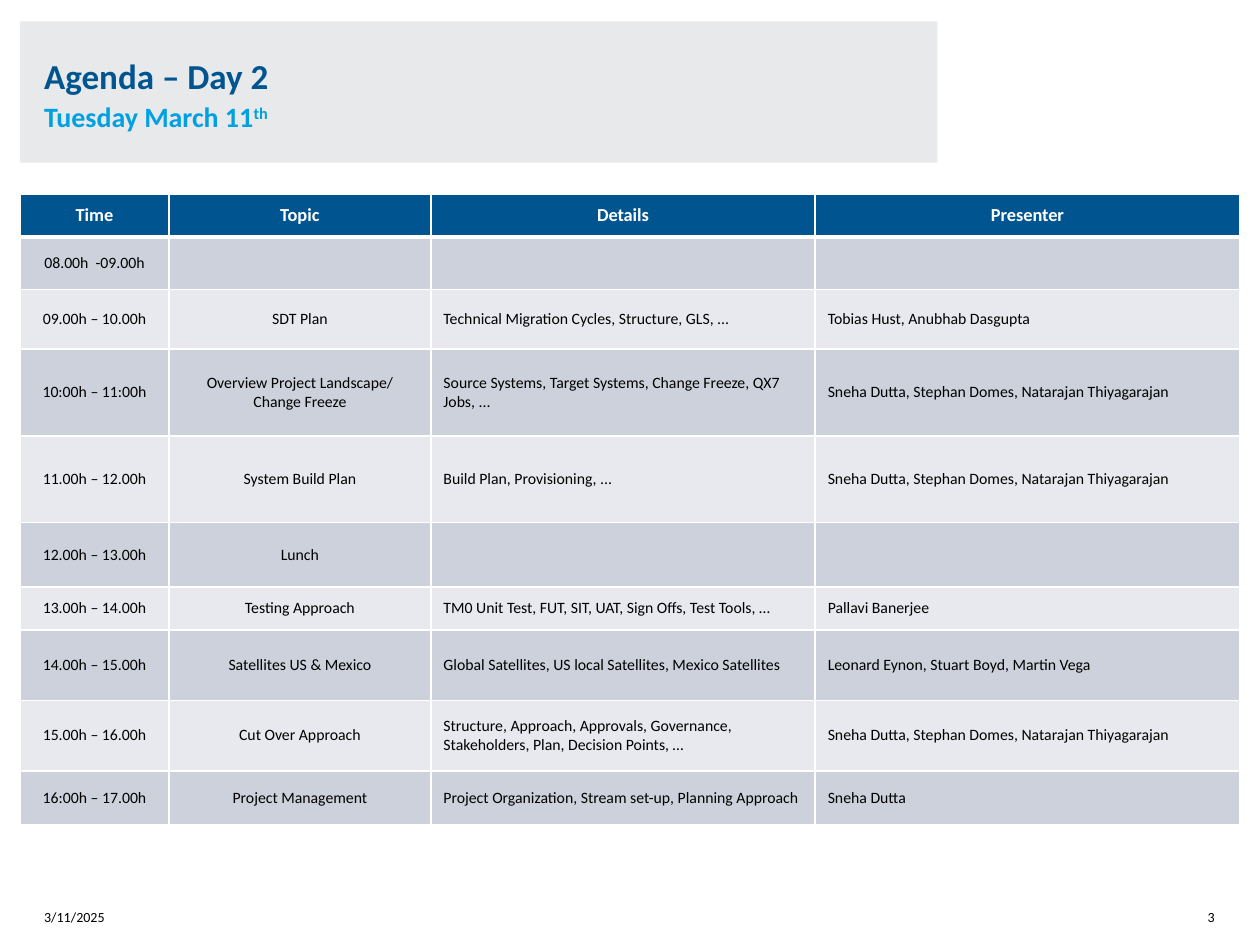
from lxml.etree import SubElement
from pptx import Presentation
from pptx.dml.color import RGBColor
from pptx.enum.shapes import MSO_SHAPE as SHAPE
from pptx.enum.text import MSO_ANCHOR as ANCHOR, MSO_AUTO_SIZE as FIT, PP_ALIGN as ALIGN
from pptx.oxml.ns import qn
from pptx.util import Inches, Pt

COLORS = {"navy": "005591", "sky": "00A0E1", "panel": "E8E9EB", "dark": "CCD1DC",
          "light": "E7E9EE", "white": "FFFFFF", "black": "000000"}
TEAM = "Sneha Dutta, Stephan Domes, Natarajan Thiyagarajan"
HEADER = ("Time", "Topic", "Details", "Presenter")
AGENDA = [
    ("08.00h  -09.00h", "", "", ""),
    ("09.00h – 10.00h", "SDT Plan", "Technical Migration Cycles, Structure, GLS, ...",
     "Tobias Hust, Anubhab Dasgupta"),
    ("10:00h – 11:00h", "Overview Project Landscape/ Change Freeze",
     "Source Systems, Target Systems, Change Freeze, QX7 Jobs, ...", TEAM),
    ("11.00h – 12.00h", "System Build Plan", "Build Plan, Provisioning, ...", TEAM),
    ("12.00h – 13.00h", "Lunch", "", ""),
    ("13.00h – 14.00h", "Testing Approach",
     "TM0 Unit Test, FUT, SIT, UAT, Sign Offs, Test Tools, …", "Pallavi Banerjee"),
    ("14.00h – 15.00h", "Satellites US & Mexico",
     "Global Satellites, US local Satellites, Mexico Satellites",
     "Leonard Eynon, Stuart Boyd, Martin Vega"),
    ("15.00h – 16.00h", "Cut Over Approach",
     "Structure, Approach, Approvals, Governance, Stakeholders, Plan, Decision Points, …",
     TEAM),
    ("16:00h – 17.00h", "Project Management",
     "Project Organization, Stream set-up, Planning Approach", "Sneha Dutta"),
]
COL_WIDTHS = (11.8, 20.8, 30.5, 33.7)
ROW_HEIGHTS = (3.4, 4.2, 4.7, 6.9, 6.9, 5.1, 3.4, 5.6, 5.6, 4.3)
BANNER = (1.6, 1.7, 72.8, 11.2)


def rgb(name):
    return RGBColor.from_string(COLORS[name])


def write(p, text, size=9, color="black", bold=False, align=ALIGN.LEFT, raised=False):
    p.alignment = align
    r = p.add_run()
    r.text = text
    r.font.name, r.font.size, r.font.bold = "Calibri", Pt(size), bold
    r.font.color.rgb = rgb(color)
    if raised:
        r.font._element.set("baseline", "30000")


class AgendaSlide:
    """Draws on one slide with a grid of 100 columns by 75 rows."""

    def __init__(self, prs):
        self.unit = prs.slide_width / 100
        self.s = prs.slides.add_slide(prs.slide_layouts[5])

    def at(self, *cells):
        return [round(n * self.unit) for n in cells]

    def panel(self, place, color):
        sp = self.s.shapes.add_shape(SHAPE.RECTANGLE, *self.at(*place))
        sp.shadow.inherit = False
        sp.fill.solid()
        sp.fill.fore_color.rgb = rgb(color)
        sp.line.fill.background()
        self.s.shapes._spTree.insert(2, sp._element)

    def frame(self, sp, anchor, inset=0, wrap=True):
        tf = sp.text_frame
        tf.word_wrap, tf.auto_size, tf.vertical_anchor = wrap, FIT.NONE, anchor
        tf.margin_left = tf.margin_right = Inches(inset)
        tf.margin_top = tf.margin_bottom = 0
        return tf.paragraphs[0]

    def title(self, place, heading, day, suffix):
        sp = self.s.shapes.title
        sp.left, sp.top, sp.width, sp.height = self.at(*place)
        p = self.frame(sp, ANCHOR.MIDDLE, inset=0.19)
        p.line_spacing = 1.1
        write(p, heading, size=20, color="navy", bold=True)
        p.add_line_break()
        SubElement(p._p[-1], qn("a:rPr"), sz="2000")
        write(p, day, size=16, color="sky", bold=True)
        write(p, suffix, size=16, color="sky", bold=True, raised=True)

    def footer(self, place, text, align=ALIGN.LEFT, wrap=True):
        sp = self.s.shapes.add_textbox(*self.at(*place))
        write(self.frame(sp, ANCHOR.BOTTOM, wrap=wrap), text, size=8, align=align)

    def cell(self, cell, text, fill, borders, **fmt):
        tcPr = cell._tc.get_or_add_tcPr()
        for side, width in borders.items():
            ln = SubElement(tcPr, qn(f"a:ln{side}"), w=str(Pt(width)))
            SubElement(SubElement(ln, qn("a:solidFill")), qn("a:srgbClr"), val=COLORS["white"])
        cell.fill.solid()
        cell.fill.fore_color.rgb = rgb(fill)
        cell.vertical_anchor = ANCHOR.MIDDLE
        p = cell.text_frame.paragraphs[0]
        if text:
            write(p, text, **fmt)
        else:
            p.font.size = Pt(9)

    def table(self, left, top, header, rows, widths, heights):
        place = self.at(left, top, sum(widths), sum(heights))
        table = self.s.shapes.add_table(len(heights), len(widths), *place).table
        for column, width in zip(table.columns, self.at(*widths)):
            column.width = width
        for row, height in zip(table.rows, self.at(*heights)):
            row.height = height
        for i, texts in enumerate([header, *rows]):
            head = i == 0
            fill = "navy" if head else "dark" if i % 2 else "light"
            borders = {"L": 1, "R": 1, "T": 3 if i == 1 else 1, "B": 3 if head else 1}
            fmt = dict(size=10.5, color="white", bold=True) if head else {}
            for j, text in enumerate(texts):
                align = ALIGN.CENTER if head or j < 2 else ALIGN.LEFT
                self.cell(table.cell(i, j), text, fill, borders, align=align, **fmt)


def main():
    prs = Presentation()
    prs.slide_width, prs.slide_height = Inches(10), Inches(7.5)
    slide = AgendaSlide(prs)
    slide.panel(BANNER, "panel")
    slide.title(BANNER, "Agenda – Day 2", "Tuesday March 11", "th")
    slide.footer((92.5, 70.6, 3.9, 2.8), "3", align=ALIGN.RIGHT, wrap=False)
    slide.footer((3.5, 70.6, 7.9, 2.8), "3/11/2025")
    slide.table(1.6, 15.4, HEADER, AGENDA, COL_WIDTHS, ROW_HEIGHTS)
    prs.save("out.pptx")


if __name__ == "__main__":
    main()
